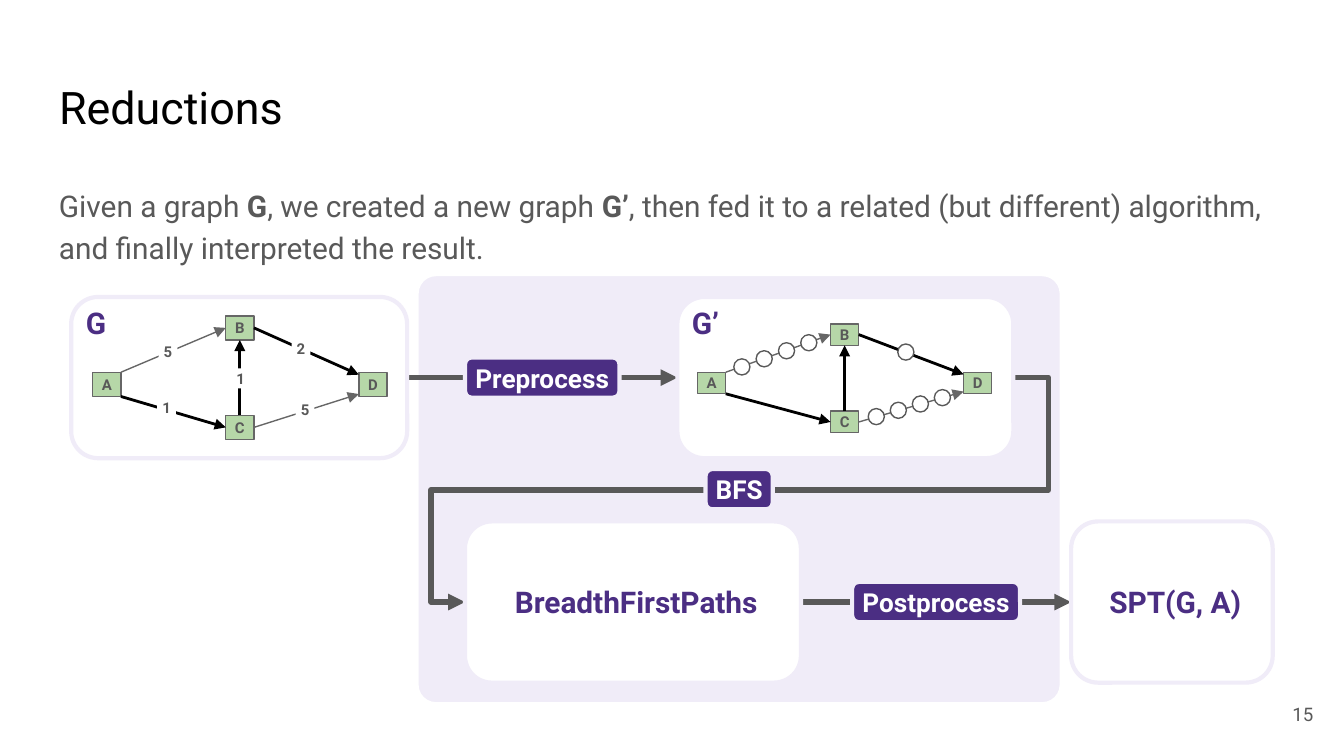
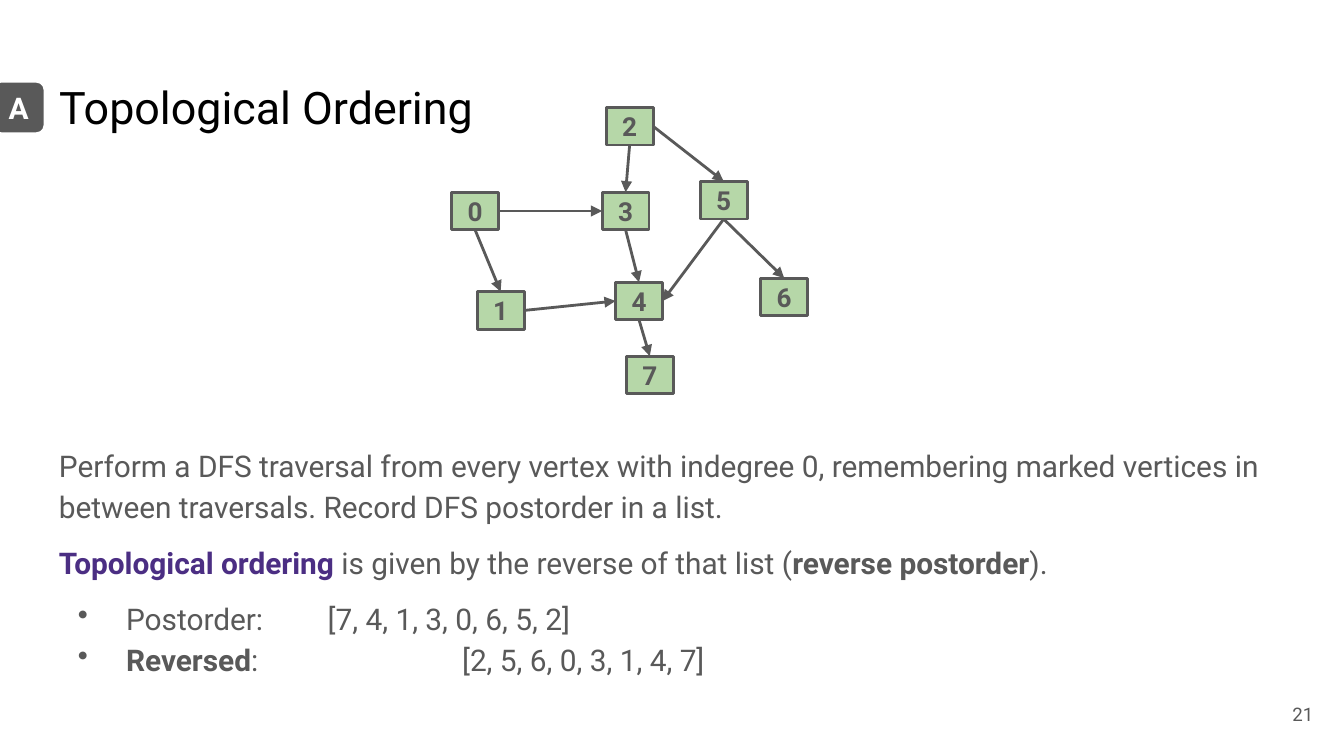
"""Builds two slides on graph reductions and topological ordering."""
from lxml import etree
from pptx import Presentation
from pptx import util as u
from pptx.dml.color import RGBColor
from pptx.enum import shapes, text
from pptx.oxml.ns import qn

PX = 9144
FONT = "Roboto"
GRAY, EDGE, BLACK, WHITE = "595959", "666666", "000000", "FFFFFF"
PURPLE, PALE, GREEN = "4B2E83", "F0ECF8", "B6D7A8"
LEFT, MID, RIGHT = text.PP_ALIGN.LEFT, text.PP_ALIGN.CENTER, text.PP_ALIGN.RIGHT
TOP, HALF = text.MSO_ANCHOR.TOP, text.MSO_ANCHOR.MIDDLE
RECT, OVAL = shapes.MSO_SHAPE.RECTANGLE, shapes.MSO_SHAPE.OVAL
ROUND = shapes.MSO_SHAPE.ROUNDED_RECTANGLE
LINE, ELBOW = shapes.MSO_CONNECTOR.STRAIGHT, shapes.MSO_CONNECTOR.ELBOW


def px(*nums):
    """Turn px into EMU."""
    return [u.Emu(round(n * PX)) for n in nums]


def rgb(code):
    """Turn a hex string into a colour."""
    return RGBColor.from_string(code)


def sub(node, tag, **attrs):
    """Append an XML child and return it."""
    child = etree.SubElement(node, qn(tag))
    for key, val in attrs.items():
        child.set(key, str(val))
    return child


class Deck:
    """Holds the style and the current slide."""

    def __init__(self):
        """Open an empty deck."""
        self.prs = Presentation()
        self.prs.slide_width, self.prs.slide_height = px(1000, 562.5)

    def start(self, title, num):
        """Add a slide with its title and number."""
        self.page = self.prs.slides.add_slide(self.prs.slide_layouts[5])
        head = self.page.shapes.title
        head.left, head.top, head.width, head.height = px(34, 49, 932, 63)
        self.frame(head, TOP, (10, 10))
        self.para(head.text_frame.paragraphs[0], [title], 24, BLACK)
        self.note((927, 510, 60, 43), [[num]], 10, RIGHT, HALF)

    def frame(self, shape, anchor, inset):
        """Set wrap, anchor and insets (left, other sides)."""
        tf = shape.text_frame
        tf.word_wrap, tf.auto_size = True, text.MSO_AUTO_SIZE.NONE
        tf.vertical_anchor = anchor
        tf.margin_left, tf.margin_top = px(*inset)
        tf.margin_right = tf.margin_bottom = tf.margin_top
        return tf

    def para(self, par, runs, size, color, bold=False, align=LEFT):
        """Fill a paragraph; a run is text or (text, colour) in bold."""
        par.alignment = align
        font = par.font
        font.name, font.size, font.bold = FONT, u.Pt(size), bold
        font.color.rgb = rgb(color)
        for item in runs:
            run = par.add_run()
            if isinstance(item, tuple):
                run.text, tint = item
                run.font.bold = True
                run.font.color.rgb = rgb(tint)
            else:
                run.text = item

    def note(self, box, paras, size=16, align=LEFT, anchor=TOP, space=1,
             gaps=(), dots=()):
        """Add a text box, with gaps before and bullets by paragraph."""
        tf = self.frame(self.page.shapes.add_textbox(*px(*box)), anchor, (10, 10))
        for i, runs in enumerate(paras):
            par = tf.add_paragraph() if i else tf.paragraphs[0]
            par.line_spacing = space
            if i in gaps:
                par.space_before = u.Pt(8)
            if i in dots:
                prop = par._p.get_or_add_pPr()
                for key, val in (("marL", 50), ("indent", -36), ("defTabSz", 100)):
                    prop.set(key, str(val * PX))
                sub(sub(prop, "a:buClr"), "a:srgbClr", val=GRAY)
                sub(prop, "a:buChar", char="•")
            self.para(par, runs, size, GRAY, align=align)

    def shape(self, kind, box, fill, line=None, width=0.75, label="", size=8,
              color=GRAY, align=MID, anchor=HALF, pad=0, curve=0.167):
        """Add a preset shape with an optional bold label."""
        form = self.page.shapes.add_shape(kind, *px(*box))
        form.shadow.inherit = False
        form.fill.solid()
        form.fill.fore_color.rgb = rgb(fill)
        if line:
            form.line.color.rgb, form.line.width = rgb(line), u.Pt(width)
        else:
            form.line.fill.background()
        if kind == ROUND:
            form.adjustments[0] = curve
        if label:
            tf = self.frame(form, anchor, (pad, 0))
            self.para(tf.paragraphs[0], [label], size, color, True, align)

    def panel(self, box, label, align=MID, anchor=HALF):
        """Add a white rounded panel."""
        self.shape(ROUND, box, WHITE, PALE, 2.25, label, 16, PURPLE,
                   align, anchor, 5)

    def tag(self, box, label):
        """Add a purple step label."""
        self.shape(ROUND, box, PURPLE, PALE, 2.25, label, 14, WHITE)

    def arrow(self, start, end, color=GRAY, width=3, bends=()):
        """Add an arrow, straight or with three bends."""
        con = self.page.shapes.add_connector(
            ELBOW if bends else LINE, *px(*start, *end))
        con.line.color.rgb, con.line.width = rgb(color), u.Pt(width)
        prop = con._element.spPr
        sub(prop.find(qn("a:ln")), "a:tailEnd", type="triangle")
        sub(prop, "a:effectLst")
        if bends:
            geom = prop.find(qn("a:prstGeom"))
            geom.set("prst", "bentConnector5")
            guide = geom.find(qn("a:avLst"))
            if guide is None:
                guide = sub(geom, "a:avLst")
            for i, val in enumerate(bends, 1):
                sub(guide, "a:gd", name=f"adj{i}", fmla=f"val {val}")

    def graph(self, nodes, edges, size, line, width, font):
        """Add nodes and edges; edge ends are fractions of a node."""
        wide, high = size
        for name, spot in nodes.items():
            self.shape(RECT, (*spot, wide, high), GREEN, line, width, name, font)
        for tail, out, head, into, color, weight in edges:
            ends = [(nodes[n][0] + fx * wide, nodes[n][1] + fy * high)
                    for n, (fx, fy) in ((tail, out), (head, into))]
            self.arrow(*ends, color, weight)


NORTH, SOUTH, WEST, EAST = (0.5, 0), (0.5, 1), (0, 0.5), (1, 0.5)
PATHS = [("A", (1, 0), "B", WEST, EDGE, 0.75),
         ("A", (1, 1), "C", WEST, BLACK, 1.5),
         ("C", EAST, "D", (0, 0.9), EDGE, 0.75),
         ("C", NORTH, "B", SOUTH, BLACK, 1.5),
         ("B", EAST, "D", (0, 0.1), BLACK, 1.5)]
COSTS = [(118, 254, "5"), (220, 297, "5"), (172, 274, "1"),
         (217, 252, "2"), (117, 296, "1")]
SPOTS = {"0": (336, 143), "1": (355, 217), "2": (451, 80), "3": (448, 143),
         "4": (458, 210), "5": (521, 135), "6": (566, 207), "7": (466, 265)}
LINKS = [("0", SOUTH, "1", NORTH), ("0", EAST, "3", WEST),
         ("2", SOUTH, "3", NORTH), ("2", EAST, "5", NORTH),
         ("5", SOUTH, "6", NORTH), ("5", SOUTH, "4", EAST),
         ("3", SOUTH, "4", NORTH), ("1", EAST, "4", WEST),
         ("4", SOUTH, "7", NORTH)]


def four(left, top, mid, low):
    """Place the nodes A to D."""
    return {"B": (left + 99, top), "C": (left + 99, low),
            "A": (left, mid), "D": (left + 198, mid)}


def reduce(deck):
    """Build the reductions slide."""
    deck.start("Reductions", "15")
    deck.shape(ROUND, (310, 204, 480, 320), PALE, WHITE, 2.25, curve=0.045)
    deck.arrow((303, 281), (504, 281))
    deck.panel((53, 221, 250, 120), "G", LEFT, TOP)
    deck.graph(four(69, 235, 277, 309), PATHS, (21, 18), EDGE, 0.75, 8)
    for left, top, cost in COSTS:
        deck.shape(RECT, (left, top, 14, 15), WHITE, label=cost)
    deck.note((34, 126, 932, 75), [[
        "Given a graph ", ("G", GRAY), ", we created a new graph ", ("G’", GRAY),
        ", then fed it to a related (but different) algorithm, "
        "and finally interpreted the result."]], space=1.15)
    deck.tag((346, 266, 115, 30), "Preprocess")
    deck.arrow((754, 281), (346, 448), bends=(-6400, 50000, 106200))
    deck.panel((504, 221, 250, 120), "G’", LEFT, TOP)
    deck.graph(four(519, 241, 277, 306), PATHS, (21, 16), EDGE, 0.75, 8)
    dots = [(668, 256)]
    for i in range(4):
        dots += [(546 + 16.6 * i, 267 - 6 * i), (646 + 16.4 * i, 304 - 4.7 * i)]
    for dot in dots:
        deck.shape(OVAL, (*dot, 12, 12), WHITE, GRAY)
    deck.arrow((596, 448), (797, 448))
    deck.tag((634, 433, 125, 30), "Postprocess")
    deck.panel((346, 388, 250, 120), "BreadthFirstPaths")
    deck.tag((525, 349, 50, 30), "BFS")
    deck.panel((797, 388, 150, 120), "SPT(G, A)")


def order(deck):
    """Build the topological ordering slide."""
    deck.start("Topological Ordering", "21")
    deck.note((34, 319, 932, 180), [
        ["Perform a DFS traversal from every vertex with indegree 0, remembering "
         "marked vertices in between traversals. Record DFS postorder in a list."],
        [("Topological ordering", PURPLE),
         " is given by the reverse of that list (", ("reverse postorder", GRAY), ")."],
        ["Postorder:\t[7, 4, 1, 3, 0, 6, 5, 2]"],
        [("Reversed", GRAY), ":\t\t[2, 5, 6, 0, 3, 1, 4, 7]"],
    ], space=1.15, gaps=(1, 2), dots=(2, 3))
    edges = [(*link, GRAY, 1.5) for link in LINKS]
    deck.graph(SPOTS, edges, (35, 28), GRAY, 1.5, 14)
    deck.shape(ROUND, (-6, 60, 40, 40), GRAY, WHITE, 2.25, "A", 16, WHITE)


def main():
    """Build and save the deck."""
    deck = Deck()
    reduce(deck)
    order(deck)
    deck.prs.save("out.pptx")


if __name__ == "__main__":
    main()
